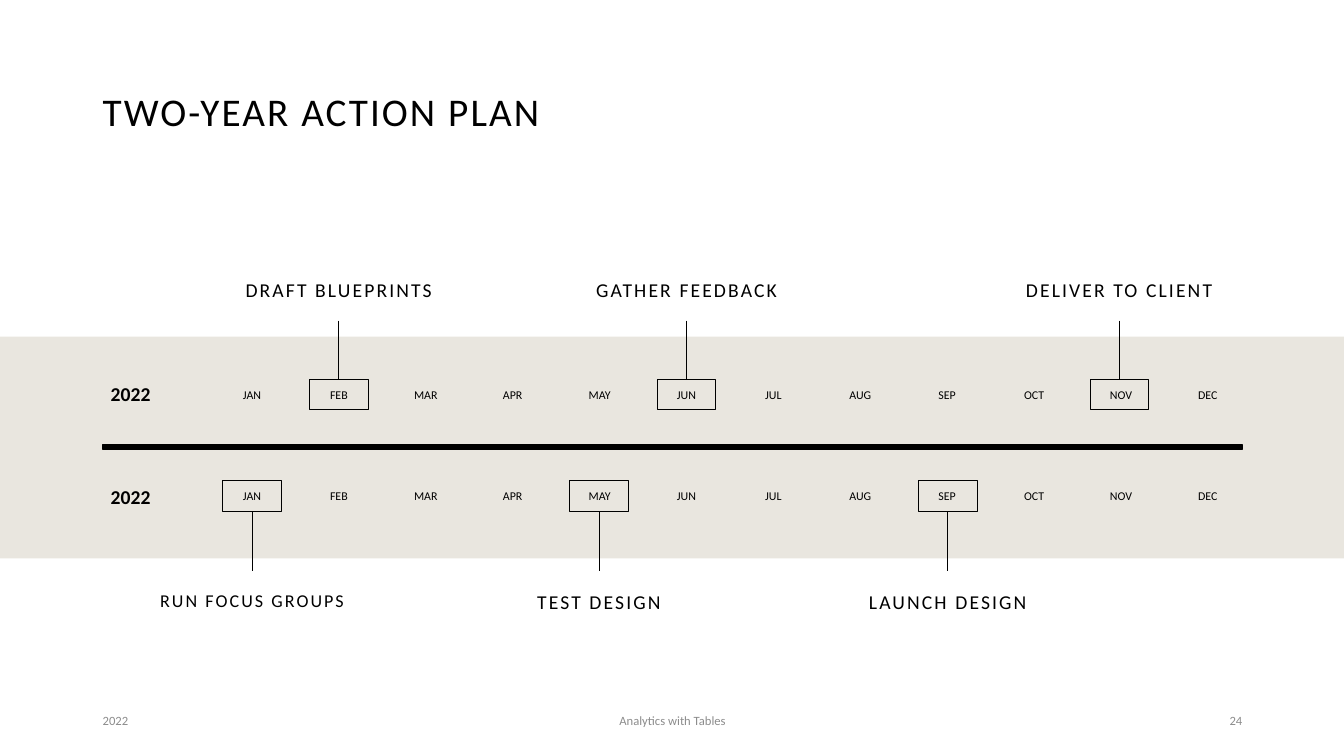
import pptx
import pptx.util
import pptx.dml.color
import pptx.enum.shapes
import pptx.enum.text
import pptx.oxml.ns
from lxml import etree

Inches = pptx.util.Inches
Pt = pptx.util.Pt
Align = pptx.enum.text.PP_ALIGN
Anchor = pptx.enum.text.MSO_ANCHOR

TITLE = "TWO-YEAR ACTION PLAN"
MONTHS = "JAN FEB MAR APR MAY JUN JUL AUG SEP OCT NOV DEC".split()
# Each milestone: label, centre of its box, type size
YEARS = [
    {"year": "2022", "year_top": 3.67, "month_top": 3.83, "box_top": 3.76,
     "label_top": 2.43, "anchor": Anchor.BOTTOM, "stem": (3.18, 3.76),
     "goals": [("DRAFT BLUEPRINTS", 3.36, 14), ("GATHER FEEDBACK", 6.81, 14),
               ("DELIVER TO CLIENT", 11.1, 14)]},
    {"year": "2022", "year_top": 4.69, "month_top": 4.84, "box_top": 4.77,
     "label_top": 5.69, "anchor": Anchor.TOP, "stem": (5.07, 5.66),
     "goals": [("RUN FOCUS GROUPS", 2.5, 12.9), ("TEST DESIGN", 5.94, 14),
               ("LAUNCH DESIGN", 9.4, 14)]},
]
FOOTER = [("2022", 0.92, 3, Align.LEFT),
          ("Analytics with Tables", 4.42, 4.5, Align.CENTER),
          ("24", 9.42, 3, Align.RIGHT)]

THEME = {"font": "Calibri", "ink": "000000", "band": "E9E6DF", "muted": "8C8C8C",
         "title": 28, "year": 14, "month": 8.5, "foot": 9, "track": 150,
         "thin": 0.5, "thick": 1}
MONTH_LEFT, MONTH_END, MONTH_WIDE = 2.15, 11.63, 0.7
STEP = (MONTH_END - MONTH_LEFT) / (len(MONTHS) - 1)
BOX_WIDE, BOX_HIGH = 0.58, 0.3
LABEL_WIDE, LABEL_HIGH = 2.25, 0.61


def color(name):
    return pptx.dml.color.RGBColor.from_string(THEME[name])


def add_text(slide, text, place, size, anchor=Anchor.TOP, ink="ink",
             bold=False, track=0, **para):
    """Add one line of text; para holds paragraph format values."""
    frame = slide.shapes.add_textbox(*map(Inches, place)).text_frame
    frame.word_wrap = True
    frame.vertical_anchor = anchor
    line = frame.paragraphs[0]
    for key, value in para.items():
        setattr(line, key, value)
    run = line.add_run()
    run.text = text
    style = {"name": THEME["font"], "size": Pt(size), "bold": bold}
    for key, value in style.items():
        setattr(run.font, key, value)
    run.font.color.rgb = color(ink)
    if track:
        run._r.get_or_add_rPr().set("spc", str(track))


def add_rect(slide, place, fill=None, weight=None):
    kind = pptx.enum.shapes.MSO_SHAPE.RECTANGLE
    rect = slide.shapes.add_shape(kind, *map(Inches, place))
    rect.shadow.inherit = False
    if fill:
        rect.fill.solid()
        rect.fill.fore_color.rgb = color(fill)
    else:
        rect.fill.background()
    if weight:
        rect.line.color.rgb = color("ink")
        rect.line.width = Pt(weight)
    else:
        rect.line.fill.background()


def add_stem(slide, mid, top, end):
    kind = pptx.enum.shapes.MSO_CONNECTOR.STRAIGHT
    stem = slide.shapes.add_connector(kind, *map(Inches, (mid, top, mid, end)))
    stem.line.color.rgb = color("ink")
    stem.line.width = Pt(THEME["thin"])
    etree.SubElement(stem._element.spPr, pptx.oxml.ns.qn("a:effectLst"))


def add_year(slide, row):
    add_text(slide, row["year"], (1, row["year_top"], 0.8, 0.5), THEME["year"],
             Anchor.MIDDLE, bold=True, line_spacing=0.9, space_before=Pt(10))
    for spot, month in enumerate(MONTHS):
        place = (MONTH_LEFT + spot * STEP, row["month_top"], MONTH_WIDE, 0.22)
        add_text(slide, month, place, THEME["month"], alignment=Align.CENTER,
                 line_spacing=0.7, space_before=Pt(10))
    for label, mid, size in row["goals"]:
        place = (mid - LABEL_WIDE / 2, row["label_top"], LABEL_WIDE, LABEL_HIGH)
        add_text(slide, label, place, size, row["anchor"], track=THEME["track"],
                 alignment=Align.CENTER, line_spacing=1.5, space_before=Pt(10))
        add_stem(slide, mid, *row["stem"])
        add_rect(slide, (mid - BOX_WIDE / 2, row["box_top"], BOX_WIDE, BOX_HIGH),
                 weight=THEME["thin"])


def main():
    deck = pptx.Presentation()
    deck.slide_width, deck.slide_height = Inches(13.33), Inches(7.5)
    slide = deck.slides.add_slide(deck.slide_layouts[6])
    add_rect(slide, (0, 3.34, 13.33, 2.2), "band")
    add_rect(slide, (1.02, 4.41, 11.3, 0.05), "ink", THEME["thick"])
    add_text(slide, TITLE, (0.92, 0.4, 11.5, 1.45), THEME["title"],
             Anchor.MIDDLE, track=THEME["track"], line_spacing=0.9)
    for row in YEARS:
        add_year(slide, row)
    for text, left, wide, align in FOOTER:
        add_text(slide, text, (left, 6.95, wide, 0.4), THEME["foot"],
                 Anchor.MIDDLE, "muted", alignment=align)
    deck.save("out.pptx")


if __name__ == "__main__":
    main()
